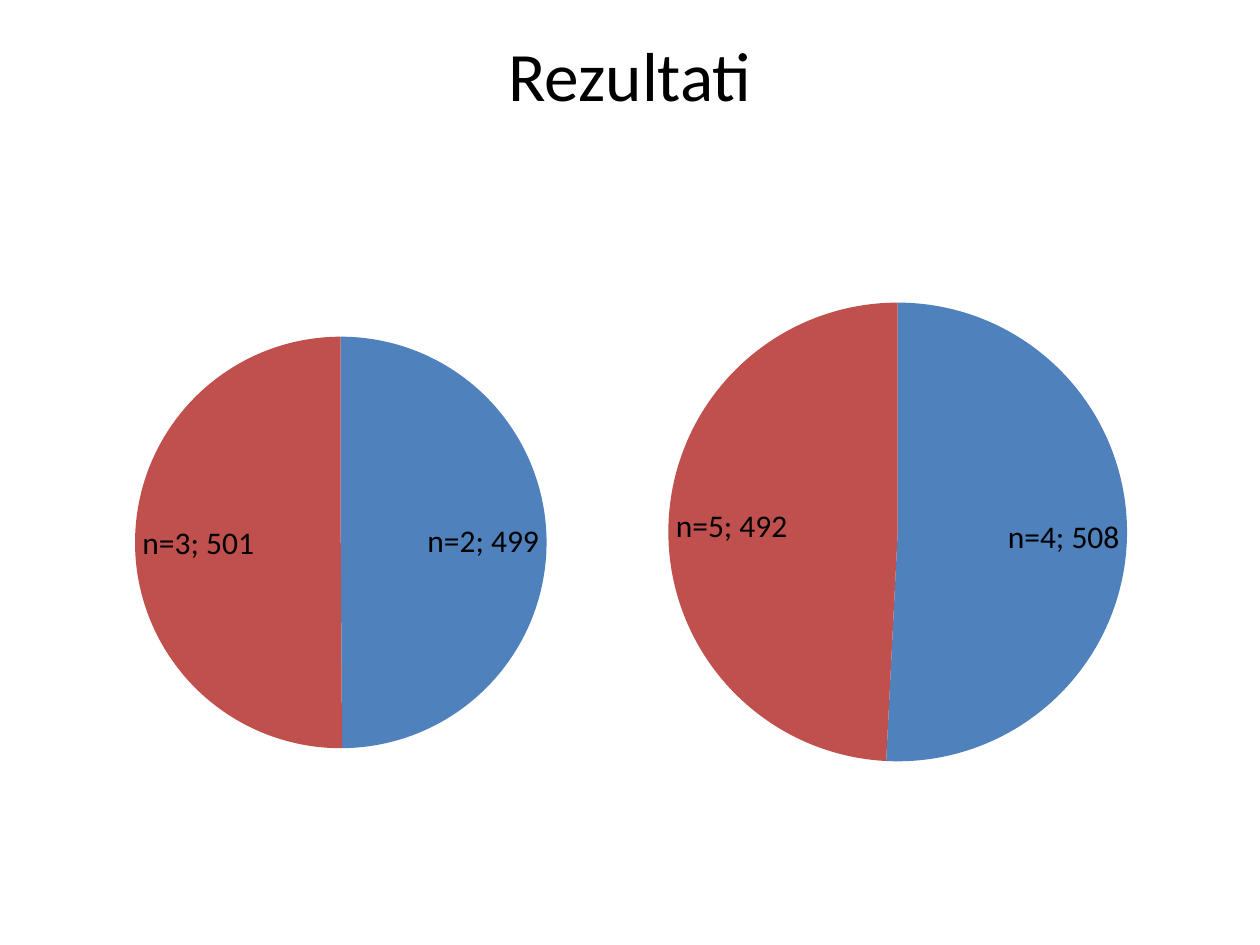
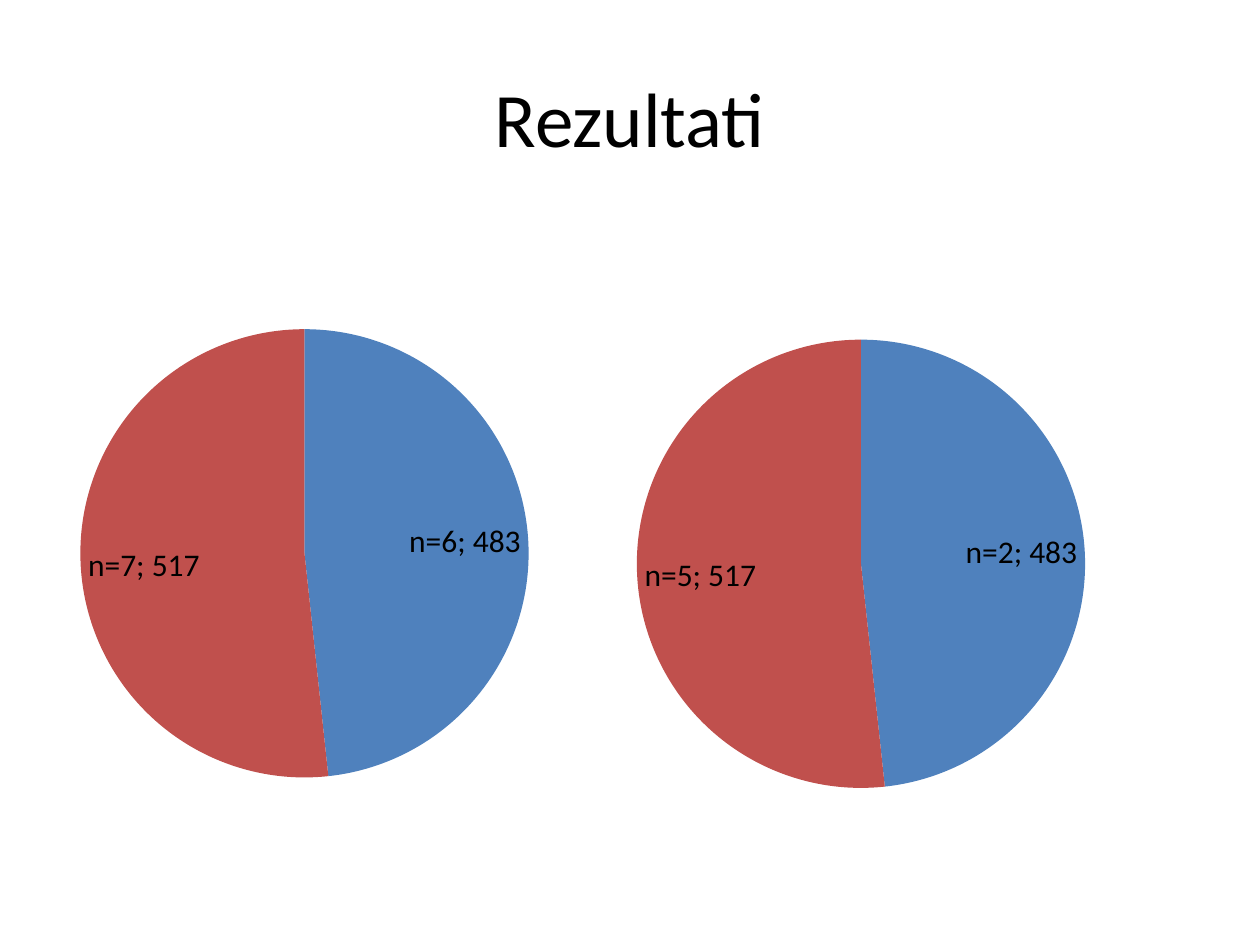
from lxml import etree
from pptx import Presentation
from pptx.chart.data import CategoryChartData
from pptx.dml.color import RGBColor
from pptx.enum.chart import XL_CHART_TYPE, XL_LABEL_POSITION
from pptx.enum.text import MSO_ANCHOR, PP_ALIGN
from pptx.oxml.ns import qn
from pptx.util import Pt

PIE = XL_CHART_TYPE.PIE
INSIDE_END = XL_LABEL_POSITION.INSIDE_END
MIDDLE = MSO_ANCHOR.MIDDLE
CENTER = PP_ALIGN.CENTER

FONT = "Calibri"
BLACK = "000000"
WHITE = "FFFFFF"
SLICE_COLORS = ("4F81BD", "C0504D")
TITLE_BOX = (36, 21.6, 648, 90)


def rgb(value):
    return RGBColor.from_string(value)


def style_font(font, size, color=BLACK):
    font.name = FONT
    font.size = Pt(size)
    font.color.rgb = rgb(color)


def add_text(s, text, box, size=44, color=BLACK, align=CENTER, anchor=MIDDLE, bottom=3.6):
    tf = s.shapes.add_textbox(*map(Pt, box)).text_frame
    tf.word_wrap = True
    tf.vertical_anchor = anchor
    tf.margin_bottom = Pt(bottom)
    p = tf.paragraphs[0]
    p.alignment = align
    r = p.add_run()
    r.text = text
    style_font(r.font, size, color)


def set_plot_layout(chart, plot_box):
    area = chart.plots[0]._element.getparent()
    for old in area.findall(qn("c:layout")):
        area.remove(old)
    layout = etree.Element(qn("c:layout"))
    area.insert(0, layout)
    manual = etree.SubElement(layout, qn("c:manualLayout"))
    settings = [("layoutTarget", "inner"), ("xMode", "edge"), ("yMode", "edge")]
    settings += zip("xywh", plot_box)
    for tag, value in settings:
        etree.SubElement(manual, qn("c:" + tag)).set("val", str(value))


def add_pie(s, box, categories, values, plot_box=None):
    data = CategoryChartData()
    data.categories = categories
    data.add_series("Series 1", values)
    chart = s.shapes.add_chart(PIE, *map(Pt, box), data).chart
    chart.has_title = False
    chart.has_legend = False
    style_font(chart.font, 18)
    plot = chart.plots[0]
    plot.vary_by_categories = True
    for i, color in enumerate(SLICE_COLORS):
        fill = plot.series[0].points[i].format.fill
        fill.solid()
        fill.fore_color.rgb = rgb(color)
    plot.has_data_labels = True
    labels = plot.data_labels
    labels.show_category_name = True
    labels.show_value = True
    labels.show_percentage = False
    labels.position = INSIDE_END
    style_font(labels.font, 18)
    if plot_box:
        set_plot_layout(chart, plot_box)


def add_results_slide(prs, pies, **title_format):
    s = prs.slides.add_slide(prs.slide_layouts[6])
    s.background.fill.solid()
    s.background.fill.fore_color.rgb = rgb(WHITE)
    add_text(s, "Rezultati", TITLE_BOX, **title_format)
    for pie in pies:
        add_pie(s, *pie)


prs = Presentation()
prs.slide_width = Pt(720)
prs.slide_height = Pt(540)

add_results_slide(prs, [
    ((36, 180, 294, 302.4), ("n=2", "n=3"), (499, 501), (0.14, 0.04, 0.8, 0.78)),
    ((372, 132, 282, 344), ("n=4", "n=5"), (508, 492)),
], size=39.6, bottom=52)
add_results_slide(prs, [
    ((36, 150, 276, 332.4), ("n=6", "n=7"), (483, 517)),
    ((354, 156, 276, 332.4), ("n=2", "n=5"), (483, 517)),
])

prs.save("out.pptx")
